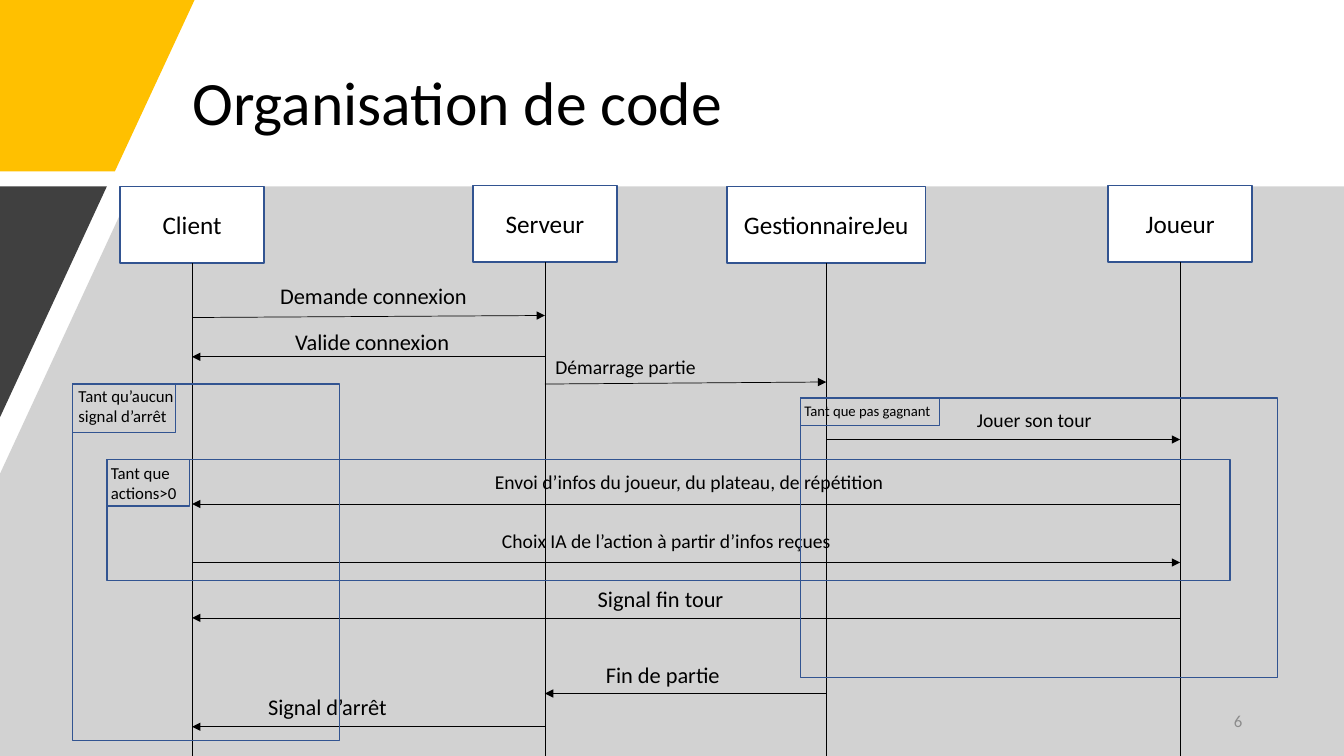
from dataclasses import dataclass
from lxml import etree
from pptx import Presentation
from pptx.dml.color import RGBColor
from pptx.enum.shapes import MSO_CONNECTOR, MSO_SHAPE
from pptx.enum.text import MSO_ANCHOR, MSO_AUTO_SIZE, PP_ALIGN
from pptx.oxml.ns import qn
from pptx.util import Inches, Pt

RECT = MSO_SHAPE.RECTANGLE
STRAIGHT = MSO_CONNECTOR.STRAIGHT
TOP, MIDDLE = MSO_ANCHOR.TOP, MSO_ANCHOR.MIDDLE
LEFT, CENTER, RIGHT = PP_ALIGN.LEFT, PP_ALIGN.CENTER, PP_ALIGN.RIGHT
GROW, FIXED = MSO_AUTO_SIZE.SHAPE_TO_FIT_TEXT, MSO_AUTO_SIZE.NONE


@dataclass(frozen=True)
class Theme:
    """Colours, font and type sizes of the slide."""
    font: str = "Calibri"
    ink: str = "000000"
    paper: str = "FFFFFF"
    gold: str = "FFC000"
    grey: str = "A6A6A6"
    dark: str = "404040"
    edge: str = "325491"
    faint: str = "8C8C8C"
    title: float = 44
    actor: float = 18
    large: float = 16
    mid: float = 14
    small: float = 12
    tiny: float = 10.5


THEME = Theme()

ACTORS = [
    ("Client", 1.19, 1.85, 1.43),
    ("Serveur", 4.69, 1.84, 1.43),
    ("GestionnaireJeu", 7.21, 1.85, 1.97),
    ("Joueur", 10.99, 1.84, 1.43),
]

MESSAGES = [
    ("Demande connexion", (2.68, 2.75, 2.61, 0.37), THEME.large, True, 0, 1, 3.15, 3.13),
    ("Valide connexion", (2.83, 3.21, 2.03, 0.37), THEME.large, True, 1, 0, 3.54, 3.54),
    ("Démarrage partie", (5.41, 3.47, 2.61, 0.34), THEME.mid, True, 1, 2, 3.81, 3.79),
    ("Jouer son tour", (9.59, 4, 2.61, 0.34), THEME.mid, True, 2, 3, 4.36, 4.36),
    ("Envoi d’infos du joueur, du plateau, de répétition",
     (4.81, 4.61, 4.1, 0.34), THEME.mid, False, 3, 0, 5, 5),
    ("Choix IA de l’action à partir d’infos reçues",
     (4.88, 5.2, 3.5, 0.34), THEME.mid, False, 0, 3, 5.58, 5.58),
    ("Signal fin tour", (5.83, 5.76, 1.46, 0.37), THEME.large, False, 3, 0, 6.13, 6.13),
    ("Fin de partie", (5.91, 6.51, 2.61, 0.37), THEME.large, True, 2, 1, 6.88, 6.88),
    ("Signal d’arrêt", (2.56, 6.83, 2.61, 0.37), THEME.large, True, 1, 0, 7.21, 7.21),
]

LOOPS = [
    ("Tant qu’aucun\vsignal d’arrêt", (0.72, 3.81, 2.65, 3.54), (1.02, 0.48),
     (-0.04, -0.03, 1.33, 0.5), THEME.small),
    ("Tant que pas gagnant", (7.94, 3.95, 4.73, 2.77), (1.38, 0.27),
     (-0.06, -0.01, 1.82, 0.28), THEME.tiny),
    ("Tant que actions>0", (1.06, 4.56, 11.14, 1.2), (0.82, 0.46),
     (-0.06, -0.02, 0.88, 0.5), THEME.small),
]


def tint(color):
    """Turn a hex string into a colour."""
    return RGBColor.from_string(color)


def write(shape, text, size, color=THEME.ink, align=LEFT, **form):
    """Put one styled paragraph into a shape."""
    frame = shape.text_frame
    frame.text = text
    form = {"word_wrap": True, "vertical_anchor": TOP, "auto_size": FIXED, **form}
    for name, value in form.items():
        setattr(frame, name, value)
    para = frame.paragraphs[0]
    para.alignment = align
    for run in para.runs:
        for name, value in {"size": Pt(size), "name": THEME.font}.items():
            setattr(run.font, name, value)
        run.font.color.rgb = tint(color)
    return para


def label(slide, box, text, size, **form):
    """Add a text box."""
    shape = slide.shapes.add_textbox(*map(Inches, box))
    return write(shape, text, size, **form)


def block(slide, box, fill=None):
    """Add an outlined rectangle, filled or hollow."""
    shape = slide.shapes.add_shape(RECT, *map(Inches, box))
    shape.shadow.inherit = False
    if fill:
        shape.fill.solid()
        shape.fill.fore_color.rgb = tint(fill)
    else:
        shape.fill.background()
    shape.line.color.rgb = tint(THEME.edge)
    shape.line.width = Pt(1)
    return shape


def patch(slide, points, color, alpha=None):
    """Add a borderless polygon, see-through if alpha is given."""
    spots = [(Inches(x), Inches(y)) for x, y in points]
    pen = slide.shapes.build_freeform(*spots[0])
    pen.add_line_segments(spots[1:], close=True)
    shape = pen.convert_to_shape()
    shape.shadow.inherit = False
    shape.fill.solid()
    shape.fill.fore_color.rgb = tint(color)
    shape.line.fill.background()
    if alpha:
        node = shape.fill._xPr.find(".//" + qn("a:srgbClr"))
        etree.SubElement(node, qn("a:alpha")).set("val", str(alpha * 1000))


def wire(slide, start, end, arrow=False):
    """Add a thin straight line, with an arrowhead on request."""
    line = slide.shapes.add_connector(STRAIGHT, *map(Inches, (*start, *end)))
    line.line.color.rgb = tint(THEME.ink)
    line.line.width = Pt(0.5)
    if arrow:
        etree.SubElement(line.line._get_or_add_ln(), qn("a:tailEnd")).set("type", "triangle")
    etree.SubElement(line._element.spPr, qn("a:effectLst"))
    return line


def decor(slide, box):
    """Draw the gold corner, the grey field and the dark wedge."""
    x, y, w, h = box
    right, low, band = x + w, y + h, y + 1.85
    patch(slide, [(x, y), (x + 1.93, y), (x + 1.14, y + 1.7), (x, y + 1.7)], THEME.gold)
    patch(slide, [(x + 1.32, band), (right, band), (right, low), (x, low), (x, y + 4.7)],
          THEME.grey, 50)
    patch(slide, [(x, band), (x + 1.06, band), (x, y + 4.14)], THEME.dark)


def actor(slide, box, name, low):
    """Draw an actor with its lifeline and return the lifeline's x."""
    x, y, w, h = box
    head = block(slide, box, THEME.paper)
    write(head, name, THEME.actor, align=CENTER, vertical_anchor=MIDDLE)
    mid = x + w / 2
    wire(slide, (mid, y + h), (mid, low)).begin_connect(head, 2)
    return mid


def loop(slide, box, text, tab, note, size):
    """Draw a loop frame with its corner tab and condition."""
    x, y = box[:2]
    block(slide, box)
    block(slide, (x, y, *tab))
    dx, dy, w, h = note
    label(slide, (x + dx, y + dy, w, h), text, size, auto_size=GROW)


def chart(slide, low):
    """Draw the actors, their messages and the loops."""
    lanes = [actor(slide, (x, y, w, 0.76), name, low) for name, x, y, w in ACTORS]
    for text, box, size, wrap, src, dst, y1, y2 in MESSAGES:
        wire(slide, (lanes[src], y1), (lanes[dst], y2), True)
        label(slide, box, text, size, word_wrap=wrap, auto_size=GROW)
    for text, box, tab, note, size in LOOPS:
        loop(slide, box, text, tab, note, size)


def main():
    """Build and save the slide."""
    deck = Presentation()
    wide, high = 13.33, 7.5
    deck.slide_width, deck.slide_height = Inches(wide), Inches(high)
    slide = deck.slides.add_slide(deck.slide_layouts[6])
    decor(slide, (0, 0, wide, high))
    title = label(slide, (1.81, 0.4, 10.24, 1.3), "Organisation de code",
                  THEME.title, vertical_anchor=MIDDLE)
    title.line_spacing = 0.9
    title.space_after = Pt(6)
    chart(slide, high)
    label(slide, (9.42, 6.95, 3, 0.4), "6", THEME.small, color=THEME.faint,
          align=RIGHT, vertical_anchor=MIDDLE)
    deck.save("out.pptx")


if __name__ == "__main__":
    main()
